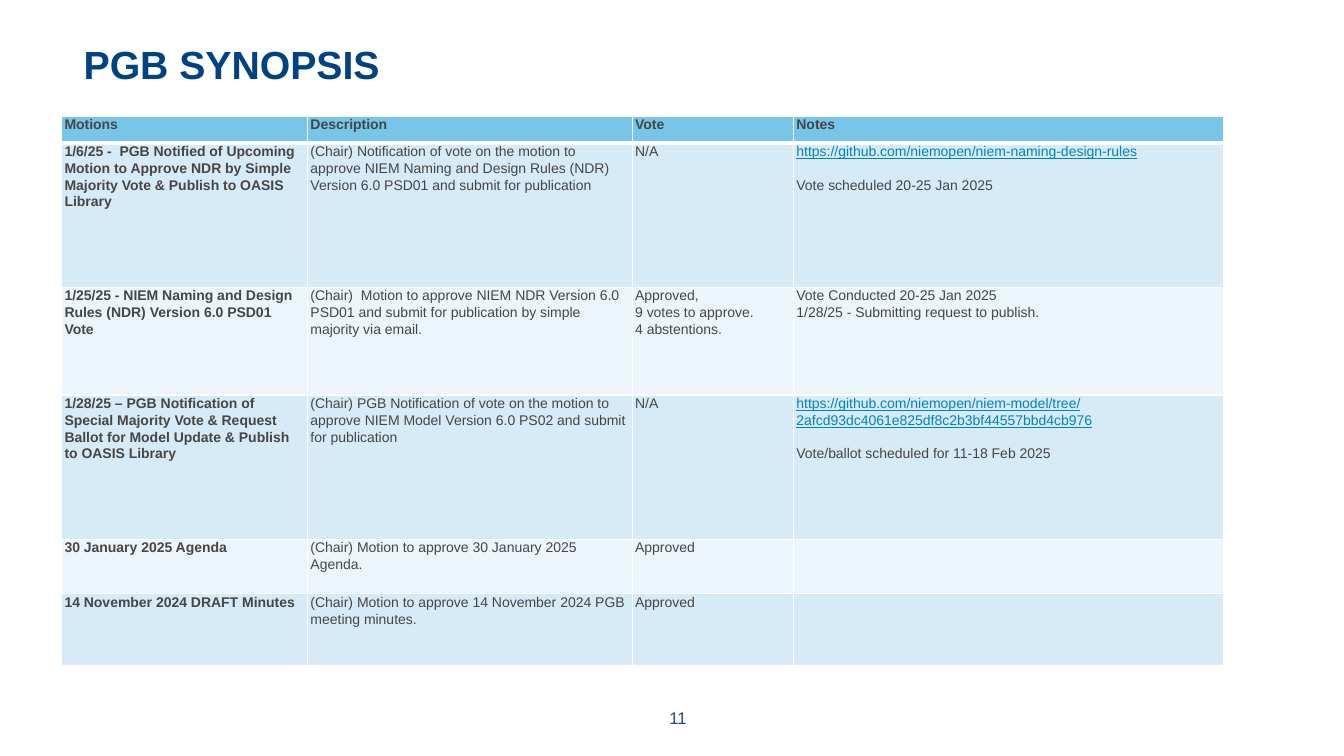
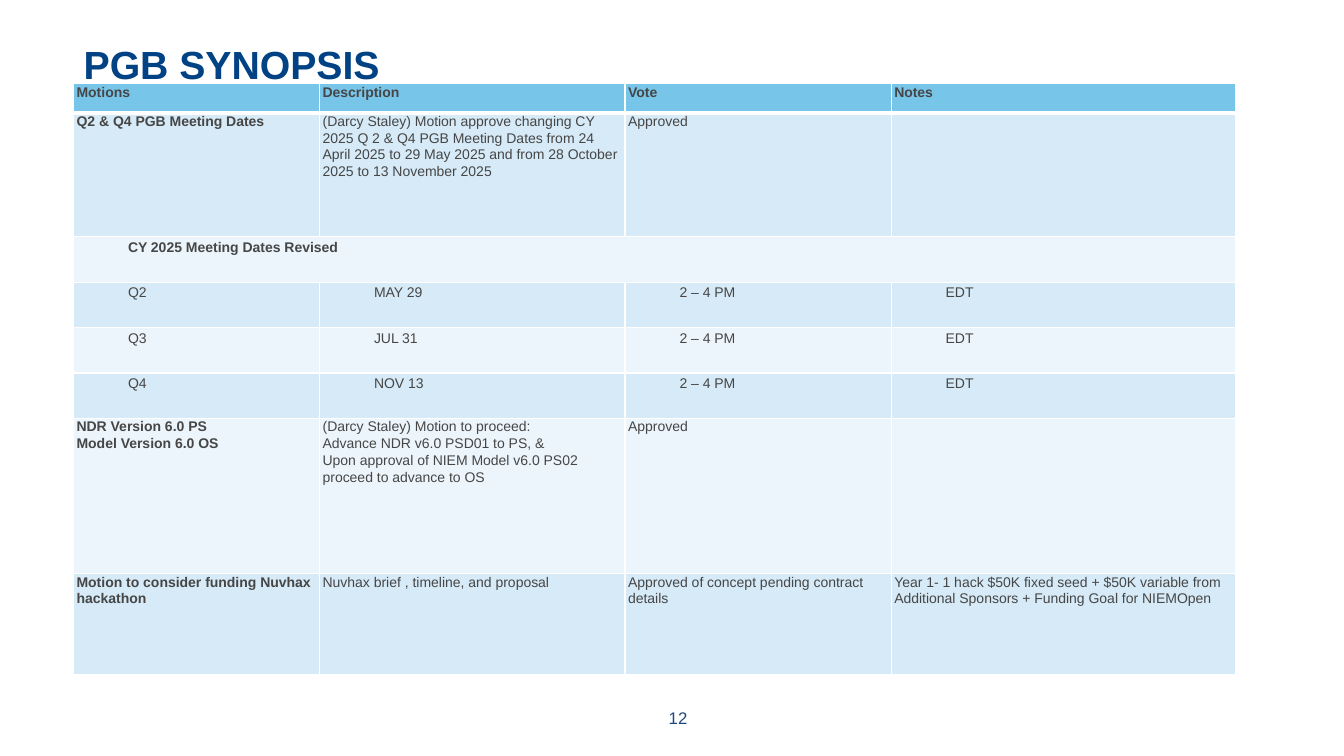
from lxml import etree
from pptx import Presentation
from pptx.dml.color import RGBColor
from pptx.enum.text import MSO_ANCHOR, MSO_AUTO_SIZE, PP_ALIGN
from pptx.oxml.ns import qn
from pptx.util import Inches, Pt

TOP = MSO_ANCHOR.TOP
NO_FIT = MSO_AUTO_SIZE.NONE
LEFT = PP_ALIGN.LEFT
CENTER = PP_ALIGN.CENTER

FONT = "Arial"
COLORS = {
    "title": "004283",
    "number": "1F497D",
    "text": "464646",
    "link": "0085BB",
    "header": "78C5EA",
    "odd": "D6EAF7",
    "even": "ECF5FB",
    "border": "FFFFFF",
}
HEADINGS = ("Motions", "Description", "Vote", "Notes")

TABLES = [
    {
        "number": "11",
        "left": 0.61,
        "top": 1.15,
        "columns": (2.44, 3.22, 1.6, 4.27),
        "heights": (0.27, 1.43, 1.07, 1.43, 0.54, 0.71),
        "indented": (),
        "rows": [
            HEADINGS,
            (
                "1/6/25 -  PGB Notified of Upcoming Motion to Approve NDR by Simple "
                "Majority Vote & Publish to OASIS Library",
                "(Chair) Notification of vote on the motion to approve NIEM Naming and "
                "Design Rules (NDR) Version 6.0 PSD01 and submit for publication",
                "N/A",
                "https://github.com/niemopen/niem-naming-design-rules\n\n"
                "Vote scheduled 20-25 Jan 2025",
            ),
            (
                "1/25/25 - NIEM Naming and Design Rules (NDR) Version 6.0 PSD01  Vote",
                "(Chair)  Motion to approve NIEM NDR Version 6.0 PSD01 and submit for "
                "publication by simple majority via email.",
                "Approved,\n9 votes to approve.\n4 abstentions.",
                "Vote Conducted 20-25 Jan 2025\n1/28/25 - Submitting request to publish.",
            ),
            (
                "1/28/25 – PGB Notification of Special Majority Vote & Request Ballot "
                "for Model Update & Publish to OASIS Library",
                "(Chair) PGB Notification of vote on the motion to approve NIEM Model "
                "Version 6.0 PS02 and submit for publication",
                "N/A",
                "https://github.com/niemopen/niem-model/tree/"
                "2afcd93dc4061e825df8c2b3bf44557bbd4cb976\n\n"
                "Vote/ballot scheduled for 11-18 Feb 2025",
            ),
            (
                "30 January 2025 Agenda",
                "(Chair) Motion to approve 30 January 2025 Agenda.",
                "Approved",
                "",
            ),
            (
                "14 November 2024 DRAFT Minutes",
                "(Chair) Motion to approve 14 November 2024 PGB meeting minutes.",
                "Approved",
                "",
            ),
        ],
    },
    {
        "number": "12",
        "left": 0.73,
        "top": 0.83,
        "columns": (2.44, 3.03, 2.64, 3.42),
        "heights": (0.29, 1.23, 0.45, 0.45, 0.45, 0.45, 1.54, 1),
        "indented": range(2, 6),
        "rows": [
            HEADINGS,
            (
                "Q2 & Q4 PGB Meeting Dates",
                "(Darcy Staley) Motion approve changing CY 2025 Q 2 & Q4 PGB Meeting "
                "Dates from 24 April 2025 to 29 May 2025 and from 28 October 2025 to "
                "13 November 2025",
                "Approved",
                "",
            ),
            ("CY 2025 Meeting Dates Revised",),
            ("Q2", "MAY 29", "2 – 4 PM", "EDT"),
            ("Q3", "JUL 31", "2 – 4 PM", "EDT"),
            ("Q4", "NOV 13", "2 – 4 PM", "EDT"),
            (
                "NDR Version 6.0 PS\nModel Version 6.0 OS",
                "(Darcy Staley) Motion to proceed:\nAdvance NDR v6.0 PSD01 to PS, &\n"
                "Upon approval of NIEM Model v6.0 PS02 proceed to advance to OS",
                "Approved",
                "",
            ),
            (
                "Motion to consider funding Nuvhax hackathon",
                "Nuvhax brief , timeline, and proposal",
                "Approved of concept pending contract details",
                "Year 1- 1 hack $50K fixed seed + $50K variable from Additional "
                "Sponsors + Funding Goal for NIEMOpen",
            ),
        ],
    },
]


def write_text(frame, text, size=10, color="text", bold=False, align=LEFT,
               spacing=1.07, indent=0):
    frame.word_wrap = True
    para = frame.paragraphs[0]
    for block_index, block in enumerate(text.split("\n\n")):
        for line_index, line in enumerate(block.split("\n")):
            if block_index or line_index:
                para = frame.add_paragraph()
            if block_index and not line_index:
                para.space_before = Pt(12)
            if indent:
                para._p.get_or_add_pPr().set("marL", str(Inches(indent)))
            para.alignment = align
            para.line_spacing = spacing
            is_link = line.startswith("https://")
            target = para.font
            if line:
                span = para.add_run()
                span.text = line
                target = span.font
            target.name = FONT
            target.size = Pt(size)
            target.bold = bold
            target.underline = is_link
            target.color.rgb = RGBColor.from_string(COLORS["link" if is_link else color])


def set_borders(cell, top, bottom):
    properties = cell._tc.get_or_add_tcPr()
    for tag, width in (("a:lnL", 1), ("a:lnR", 1), ("a:lnT", top), ("a:lnB", bottom)):
        line = etree.SubElement(properties, qn(tag), w=str(Pt(width)))
        fill = etree.SubElement(line, qn("a:solidFill"))
        etree.SubElement(fill, qn("a:srgbClr"), val=COLORS["border"])


deck = Presentation()
deck.slide_width = Inches(13.33)
deck.slide_height = Inches(7.5)
title_only = deck.slide_layouts[5]

for content in TABLES:
    page = deck.slides.add_slide(title_only)

    title = page.shapes.title
    title.left, title.top = Inches(0.73), Inches(0.44)
    title.width, title.height = Inches(12), Inches(0.89)
    title.text_frame.auto_size = NO_FIT
    title.text_frame.vertical_anchor = TOP
    write_text(title.text_frame, "PGB SYNOPSIS", size=28, color="title", bold=True,
               spacing=0.8)

    number_box = page.shapes.add_textbox(Inches(5.17), Inches(6.97), Inches(3.11), Inches(0.4))
    write_text(number_box.text_frame, content["number"], size=12, color="number",
               align=CENTER, spacing=1)

    columns, heights, rows = content["columns"], content["heights"], content["rows"]
    table = page.shapes.add_table(
        len(rows), len(columns), Inches(content["left"]), Inches(content["top"]),
        Inches(sum(columns)), Inches(sum(heights))).table
    table.horz_banding = False
    for column, width in zip(table.columns, columns):
        column.width = Inches(width)

    for row_index, texts in enumerate(rows):
        table.rows[row_index].height = Inches(heights[row_index])
        is_header = row_index == 0
        is_indented = row_index in content["indented"]
        is_merged = len(texts) == 1
        band = "header" if is_header else ("even", "odd")[row_index % 2]
        for column_index in range(len(columns)):
            cell = table.cell(row_index, column_index)
            set_borders(cell, 3 if row_index == 1 else 1, 3 if is_header else 1)
            cell.fill.solid()
            cell.fill.fore_color.rgb = RGBColor.from_string(COLORS[band])
            cell.margin_left = cell.margin_right = Inches(0.04 if is_indented else 0.03)
            cell.margin_top = cell.margin_bottom = Inches(0.02 if is_indented else 0)
            cell.vertical_anchor = TOP
            if column_index < len(texts):
                is_label = column_index == 0 and (is_merged or not is_indented)
                write_text(cell.text_frame, texts[column_index], bold=is_header or is_label,
                           indent=0.5 if is_indented else 0)
        if is_merged:
            table.cell(row_index, 0).merge(table.cell(row_index, len(columns) - 1))

deck.save("out.pptx")
